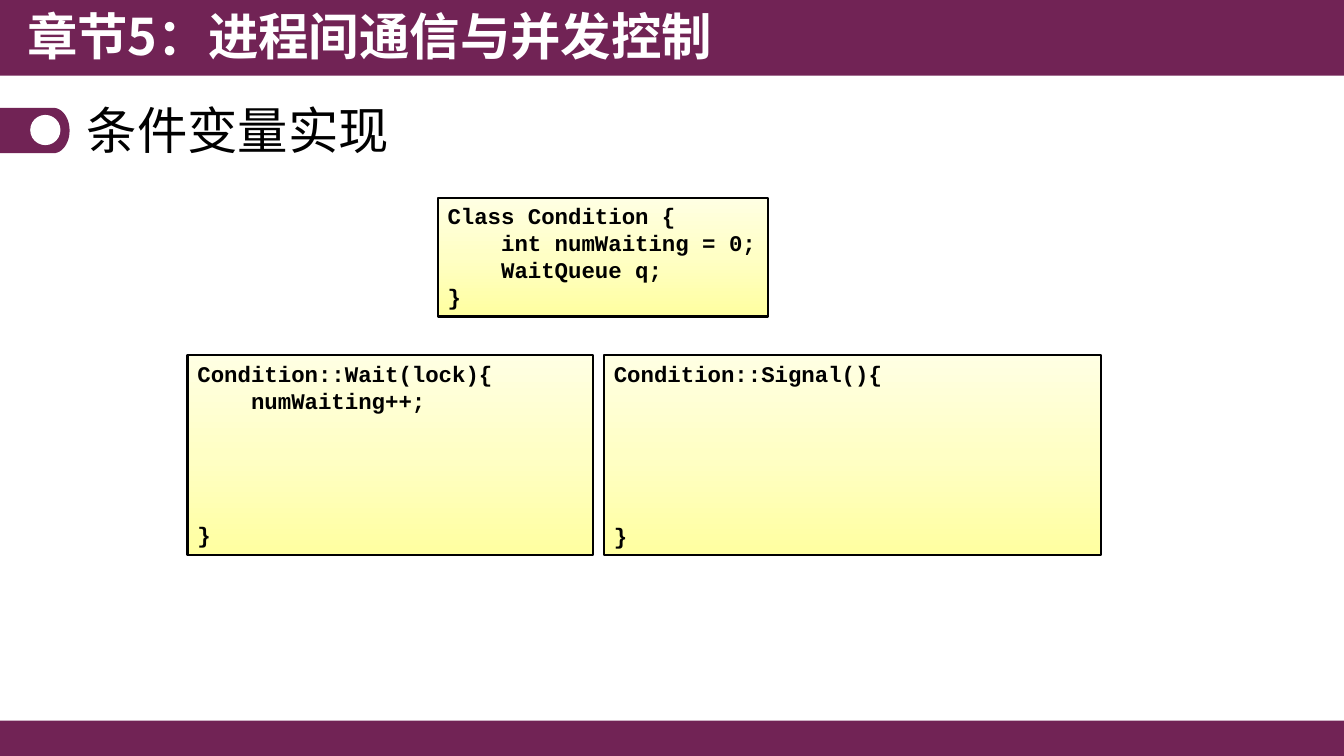
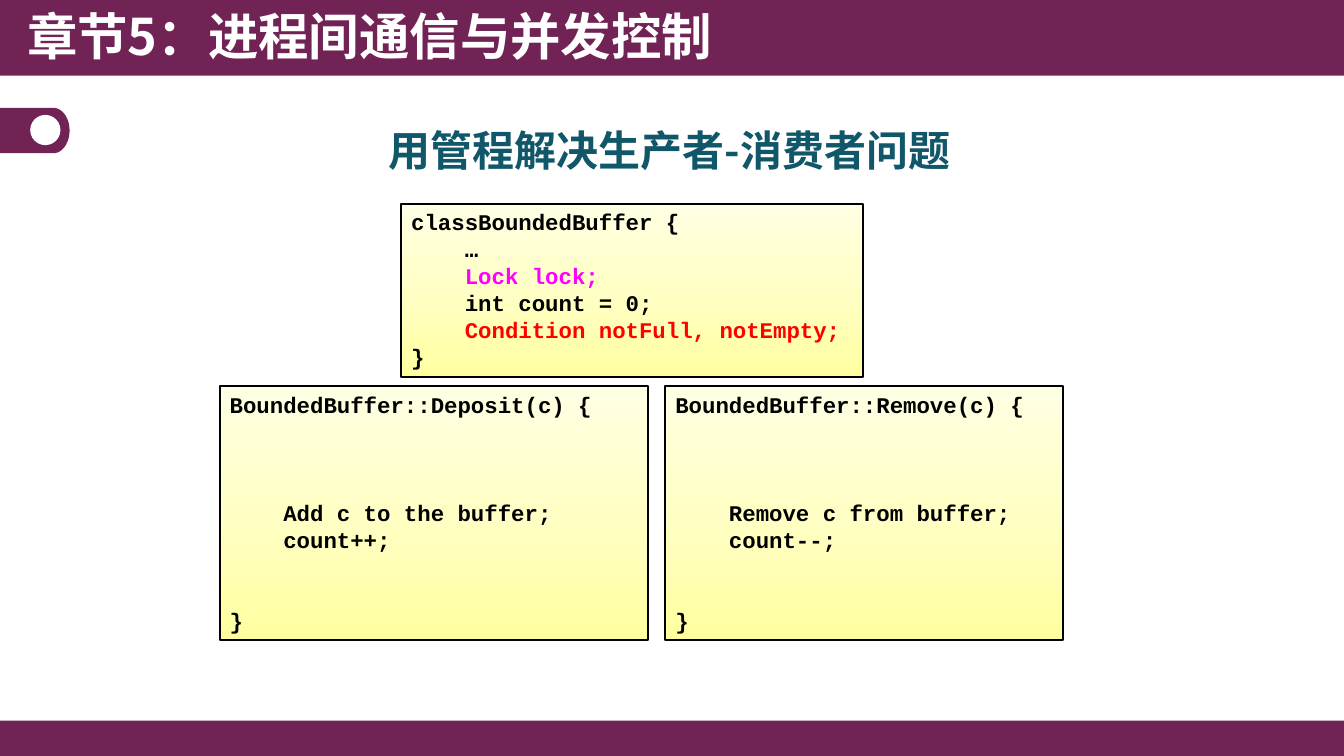
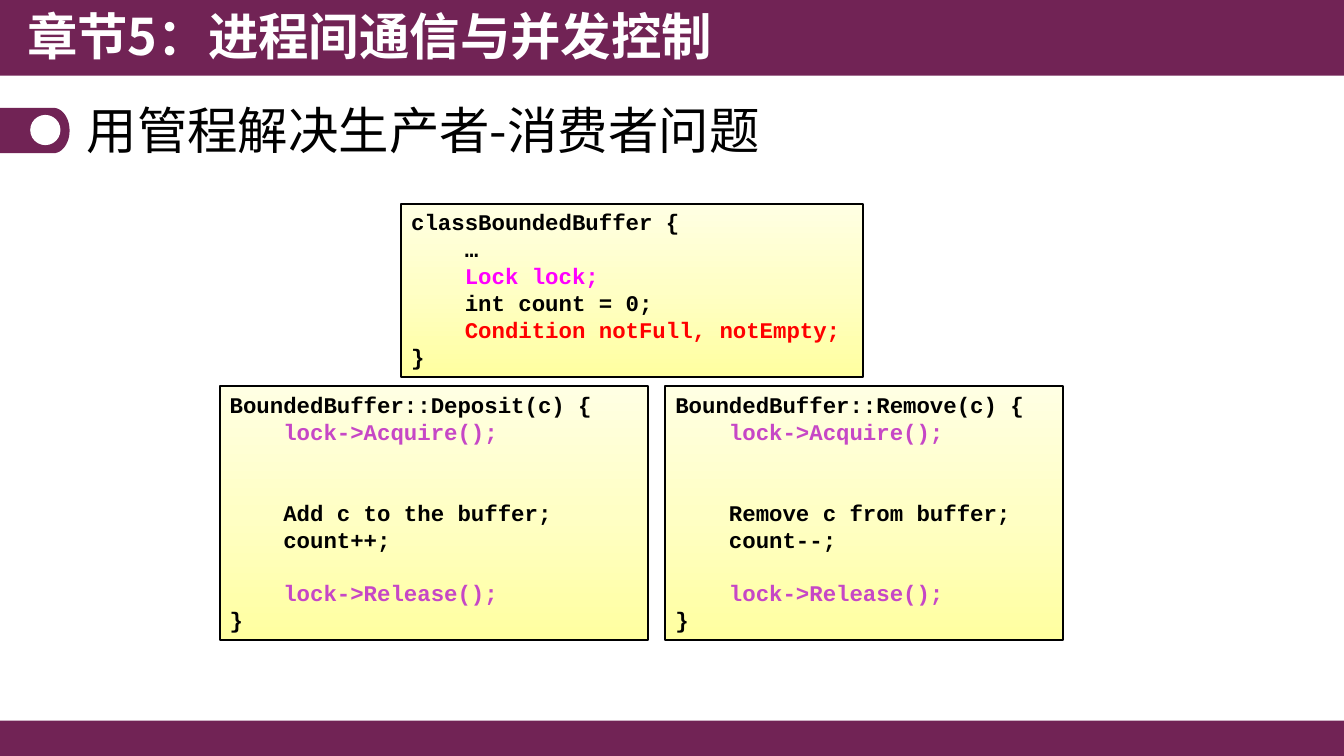
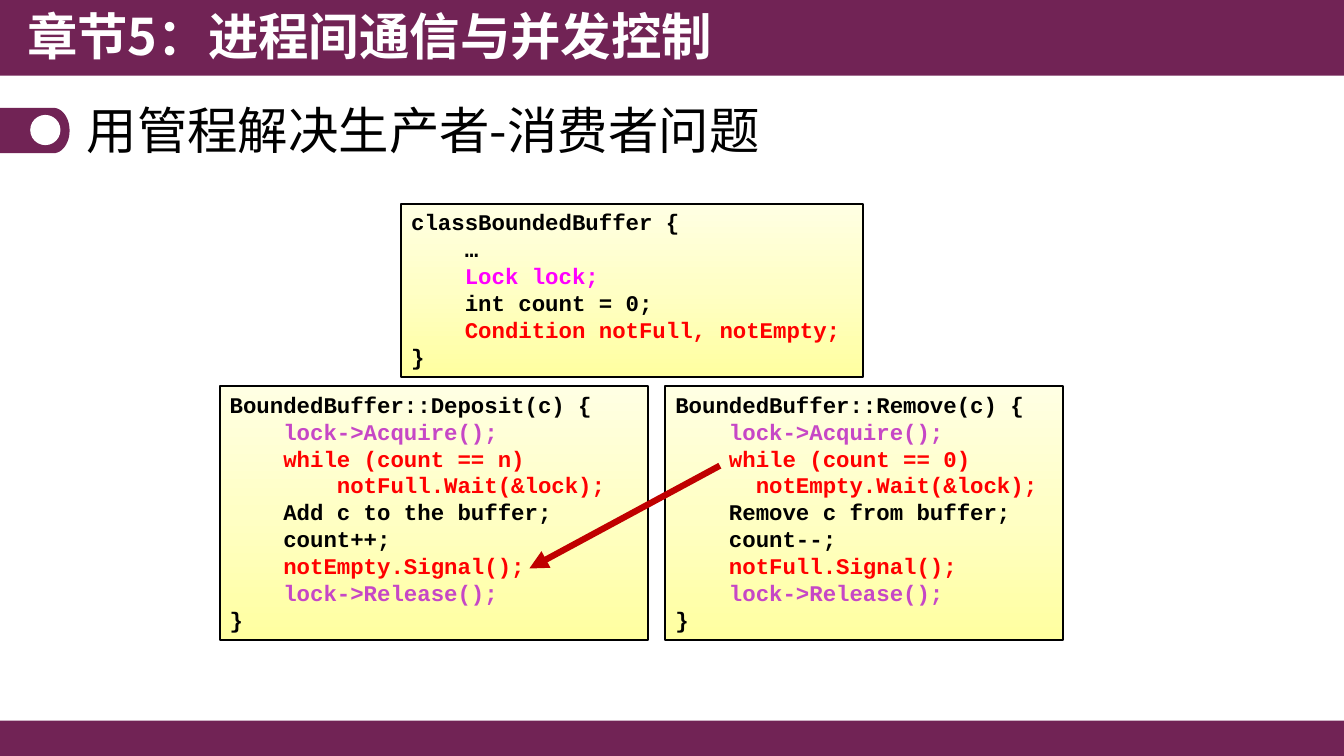
from math import cos, pi, sin

from lxml import etree
from pptx import Presentation
from pptx import util as u
from pptx.dml.color import RGBColor
from pptx.enum import shapes, text
from pptx.oxml import ns

COLOURS = {
    "plum": "712355", "white": "FFFFFF", "black": "000000", "teal": "11576A",
    "magenta": "FF00FF", "red": "FF0000", "orchid": "C647C6", "arrow": "C00000",
}
CODE_GRADIENT = {0: "FFFFA0", 50: "FFFFC5", 100: "FFFFE3"}
CJK_FONT = "Noto Sans CJK SC"
CODE_LINE = 19.3  # height of one code line in points

BAND_STYLE = {"size": u.Pt(36), "name": CJK_FONT, "bold": True}
TITLE_STYLE = {"size": u.Pt(36), "name": CJK_FONT, "bold": False}
CENTRED_STYLE = {"size": u.Pt(30), "name": CJK_FONT, "bold": True}
CODE_STYLE = {"size": u.Pt(16), "name": "Courier New", "bold": True}

# Code lines that start with these words are coloured
ACCENTS = {
    "Lock ": "magenta", "Condition notFull": "red", "lock->": "orchid",
    "while": "red", "notFull.": "red", "notEmpty.": "red",
}
WAITING = ("while", "notFull.", "notEmpty.")
LOCKING = ("lock->",)

CONDITION_CLASS = """Class Condition {
    int numWaiting = 0;
    WaitQueue q;
}"""
CONDITION_WAIT = """Condition::Wait(lock){
    numWaiting++;




}"""
CONDITION_SIGNAL = """Condition::Signal(){





}"""
BUFFER_CLASS = """classBoundedBuffer {
    …
    Lock lock;
    int count = 0;
    Condition notFull, notEmpty;
}"""
BUFFER_DEPOSIT = """BoundedBuffer::Deposit(c) {
    lock->Acquire();
    while (count == n)
        notFull.Wait(&lock);
    Add c to the buffer;
    count++;
    notEmpty.Signal();
    lock->Release();
}"""
BUFFER_REMOVE = """BoundedBuffer::Remove(c) {
    lock->Acquire();
    while (count == 0)
      notEmpty.Wait(&lock);
    Remove c from buffer;
    count--;
    notFull.Signal();
    lock->Release();
}"""

CONDITION_BOXES = [
    ((1.86, 3.52, 4.02, 1.99), CONDITION_WAIT),
    ((5.99, 3.52, 4.93, 1.99), CONDITION_SIGNAL),
    ((4.34, 1.96, 3.28, 1.18), CONDITION_CLASS),
]
BUFFER_BOXES = [
    ((2.18, 3.83, 4.25, 2.52), BUFFER_DEPOSIT),
    ((6.6, 3.83, 3.94, 2.52), BUFFER_REMOVE),
    ((3.98, 2.02, 4.58, 1.72), BUFFER_CLASS),
]
BUFFER_TITLE = "用管程解决生产者-消费者问题"

# Title, whether it is centred, code boxes, and the code still left out
PAGES = [
    ("条件变量实现", False, CONDITION_BOXES, ()),
    (BUFFER_TITLE, True, BUFFER_BOXES, WAITING + LOCKING),
    (BUFFER_TITLE, False, BUFFER_BOXES, WAITING),
    (BUFFER_TITLE, False, BUFFER_BOXES, ()),
]


def write(para, words, style, colour):
    span = para.add_run()
    span.text = words
    for name, value in style.items():
        setattr(span.font, name, value)
    span.font.color.rgb = RGBColor.from_string(COLOURS[colour])
    if style["name"] == CJK_FONT:
        etree.SubElement(span.font._element, ns.qn("a:ea"), typeface=CJK_FONT)


def paint(shape, colour):
    shape.shadow.inherit = False
    shape.fill.solid()
    shape.fill.fore_color.rgb = RGBColor.from_string(COLOURS[colour])
    shape.line.fill.background()


deck = Presentation()
deck.slide_width, deck.slide_height = u.Inches(13.33), u.Inches(7.5)
layout = deck.slide_layouts.get_by_name("Title Only")

# The layout keeps only its title
for holder in list(layout.placeholders):
    if holder.placeholder_format.type == shapes.PP_PLACEHOLDER.TITLE:
        holder.left, holder.top, holder.width, holder.height = map(
            u.Inches, (0.76, 0.95, 11.81, 0.74))
    else:
        holder.element.getparent().remove(holder.element)
pages = [deck.slides.add_slide(layout) for _ in PAGES]

# Shared bands, side tab and chapter name
drawing = pages[0].shapes
for top, height in ((7.15, 0.36), (0, 0.75)):
    band = drawing.add_shape(shapes.MSO_SHAPE.RECTANGLE, 0, u.Inches(top),
                             deck.slide_width, u.Inches(height))
    paint(band, "plum")

angles = [pi * step / 24 for step in range(25)]
arc = [(0.53 + 0.16 * sin(a), 1.295 - 0.225 * cos(a)) for a in angles]
outline = drawing.build_freeform(0, u.Inches(1.07))
outline.add_line_segments(
    [(u.Inches(x), u.Inches(y)) for x, y in arc + [(0, 1.52)]])
paint(outline.convert_to_shape(), "plum")
dot = drawing.add_shape(shapes.MSO_SHAPE.OVAL,
                        *map(u.Inches, (0.3, 1.14, 0.3, 0.3)))
paint(dot, "white")

chapter = drawing.add_textbox(*map(u.Inches, (0.17, 0, 7.44, 0.77)))
chapter.text_frame.word_wrap = True
write(chapter.text_frame.paragraphs[0], "章节5：进程间通信与并发控制",
      BAND_STYLE, "white")

# Move the shared parts to the layout, behind its title
shared = [shape for shape in drawing if not shape.is_placeholder]
for place, shape in enumerate(shared, start=2):
    layout.shapes.element.insert(place, shape.element)

for page, (heading, centred, boxes, left_out) in zip(pages, PAGES):
    # Title
    title = page.shapes.title
    frame = title.text_frame
    frame.auto_size = text.MSO_AUTO_SIZE.NONE
    para = frame.paragraphs[0]
    if centred:
        title.left, title.top, title.width, title.height = map(
            u.Inches, (2.14, 1.19, 9, 0.56))
        frame.vertical_anchor = text.MSO_ANCHOR.TOP
        para.alignment = text.PP_ALIGN.CENTER
        write(para, heading, CENTRED_STYLE, "teal")
    else:
        frame.vertical_anchor = text.MSO_ANCHOR.MIDDLE
        para.alignment = text.PP_ALIGN.LEFT
        para.line_spacing = 0.9
        write(para, heading, TITLE_STYLE, "black")

    # Code boxes
    for area, code in boxes:
        box = page.shapes.add_shape(shapes.MSO_SHAPE.RECTANGLE,
                                    *map(u.Inches, area))
        box.shadow.inherit = False
        box.fill.gradient()
        box.fill.gradient_angle = 90
        stops = box.element.find(".//" + ns.qn("a:gsLst"))
        stops.clear()
        for percent, shade in CODE_GRADIENT.items():
            stop = etree.SubElement(stops, ns.qn("a:gs"), pos=str(percent * 1000))
            etree.SubElement(stop, ns.qn("a:srgbClr"), val=shade)
        box.line.color.rgb = RGBColor.from_string(COLOURS["black"])
        box.line.width = u.Pt(1.5)

        frame = box.text_frame
        frame.word_wrap = True
        frame.vertical_anchor = text.MSO_ANCHOR.TOP
        para, gap = frame.paragraphs[0], 0
        for number, line in enumerate(code.splitlines()):
            words = line.strip()
            if not words or words.startswith(left_out):
                gap += 1
                continue
            if number:
                para = frame.add_paragraph()
            para.alignment = text.PP_ALIGN.LEFT
            if gap:
                para.space_before = u.Pt(gap * CODE_LINE)
            gap = 0
            colour = next((shade for start, shade in ACCENTS.items()
                           if words.startswith(start)), "black")
            write(para, line, CODE_STYLE, colour)

# Arrow from the waiting consumer to the producer's signal
arrow = pages[-1].shapes.add_connector(
    shapes.MSO_CONNECTOR.STRAIGHT, *map(u.Inches, (7.14, 4.62, 5.25, 5.64)))
arrow.line.color.rgb = RGBColor.from_string(COLOURS["arrow"])
arrow.line.width = u.Pt(4.5)
etree.SubElement(arrow.line._get_or_add_ln(), ns.qn("a:tailEnd"), type="triangle")
etree.SubElement(arrow.element.spPr, ns.qn("a:effectLst"))

deck.save("out.pptx")
